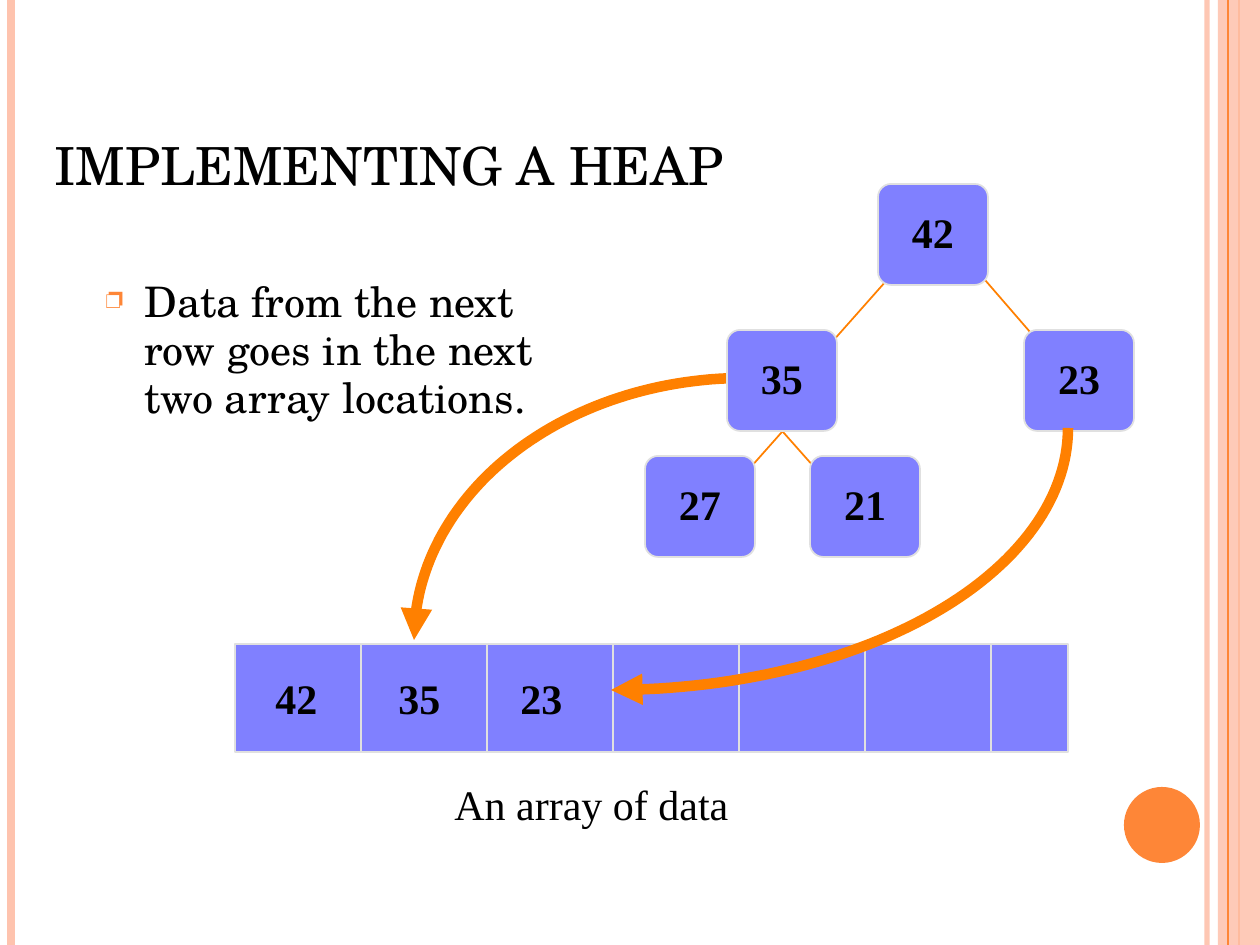
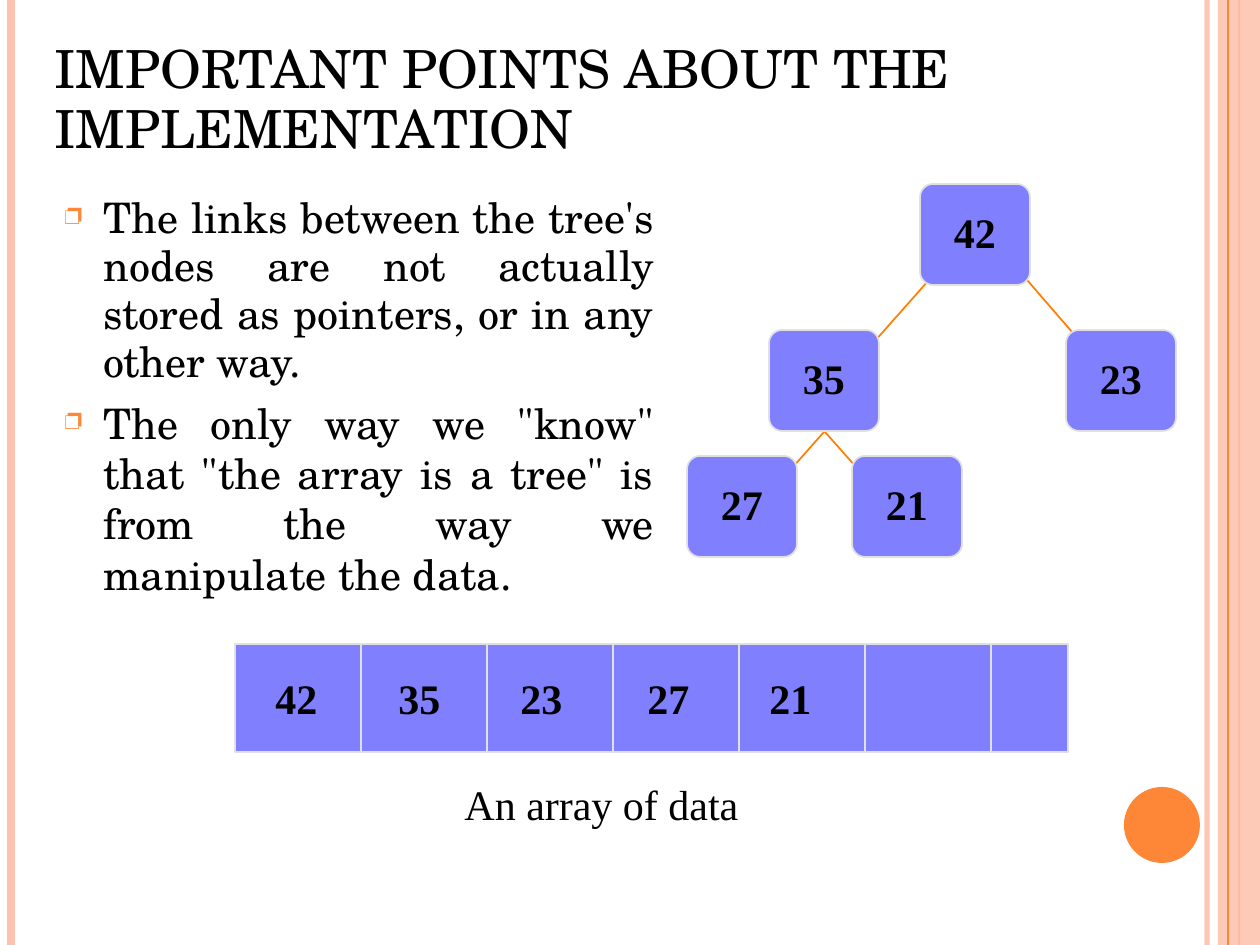
"""Builds two slides on storing a heap in an array."""
from math import cos, radians, sin

from lxml import etree
from pptx import Presentation
from pptx.dml.color import RGBColor
from pptx.enum.shapes import MSO_CONNECTOR, MSO_SHAPE
from pptx.enum.text import MSO_ANCHOR, PP_ALIGN
from pptx.oxml.ns import qn
from pptx.util import Pt

RECT, ROUND, OVAL = MSO_SHAPE.RECTANGLE, MSO_SHAPE.ROUNDED_RECTANGLE, MSO_SHAPE.OVAL
STRAIGHT = MSO_CONNECTOR.STRAIGHT
LEFT, CENTER, JUSTIFY = PP_ALIGN.LEFT, PP_ALIGN.CENTER, PP_ALIGN.JUSTIFY
TOP, MIDDLE, BOTTOM = MSO_ANCHOR.TOP, MSO_ANCHOR.MIDDLE, MSO_ANCHOR.BOTTOM

BLACK = RGBColor(0x00, 0x00, 0x00)
PEACH = RGBColor(0xFE, 0xC3, 0xAE)
ACCENT = RGBColor(0xFE, 0x86, 0x37)
ORANGE = RGBColor(0xFF, 0x80, 0x00)
VIOLET = RGBColor(0x80, 0x80, 0xFF)
SILVER = RGBColor(0xE0, 0xE0, 0xE0)

SERIF, ROMAN = "TeX Gyre Schola", "Times New Roman"
SCALE = 914400 / 126
WIDTH, HEIGHT = 1260, 945

NODE_W, NODE_H = 110, 101
NODES = {"42": (878, 184), "35": (727, 330), "23": (1024, 330),
         "27": (645, 456), "21": (810, 456)}
EDGES = [(887, 280, 809, 368), (979, 273, 1056, 362),
         (805, 406, 727, 494), (760, 406, 838, 494)]
ARRAY_X, ARRAY_Y, ARRAY_W, ARRAY_H, CELL_W = 235, 644, 833, 108, 126
VALUE_LEFTS = [263, 386, 508, 635, 757]


def px(n):
    """Turn px into EMU."""
    return round(n * SCALE)


def sub(parent, tag, **attrs):
    """Append a DrawingML element."""
    return etree.SubElement(parent, qn(tag), attrs)


def set_alpha(fill_parent, percent):
    """Make the first colour under an element translucent."""
    color = next(fill_parent.iter(qn("a:srgbClr")))
    sub(color, "a:alpha", val=str(percent * 1000))


def add_bullet(p):
    """Give a paragraph the hanging box bullet."""
    pPr = p._p.get_or_add_pPr()
    pPr.set("marL", str(px(38)))
    pPr.set("indent", str(px(-38)))
    sub(sub(pPr, "a:buClr"), "a:srgbClr", val=str(ACCENT))
    sub(pPr, "a:buSzPct", val="70000")
    sub(pPr, "a:buChar", char="❐")


def add_paragraph(tf, text, first=True, font=ROMAN, size=24, bold=False,
                  align=LEFT, spacing=0.95, before=0, bullet=False):
    """Write one formatted paragraph into a text frame."""
    p = tf.paragraphs[0] if first else tf.add_paragraph()
    if bullet:
        add_bullet(p)
    p.alignment = align
    p.line_spacing = spacing
    if before:
        p.space_before = Pt(before)
    r = p.add_run()
    r.text = text
    r.font.name, r.font.size, r.font.bold = font, Pt(size), bold
    r.font.color.rgb = BLACK


def add_box(s, x, y, w, h, wrap=True, anchor=TOP):
    """Add a text box and return its text frame."""
    tf = s.shapes.add_textbox(px(x), px(y), px(w), px(h)).text_frame
    tf.word_wrap = wrap
    tf.vertical_anchor = anchor
    return tf


def add_block(s, kind, x, y, w, h, fill, line=None):
    """Add a filled preset shape."""
    sp = s.shapes.add_shape(kind, px(x), px(y), px(w), px(h))
    sp.shadow.inherit = False
    sp.fill.solid()
    sp.fill.fore_color.rgb = fill
    if line is None:
        sp.line.fill.background()
    else:
        sp.line.color.rgb = line
        sp.line.width = Pt(1)
    return sp


def add_line(s, x1, y1, x2, y2, color, width=1):
    """Add a straight line."""
    c = s.shapes.add_connector(STRAIGHT, px(x1), px(y1), px(x2), px(y2))
    c.line.color.rgb = color
    c.line.width = Pt(width)
    sub(c._element.spPr, "a:effectLst")
    return c


def add_arc_arrow(s, cx, cy, rx, ry, start, end, steps=60):
    """Add a thick elliptical arc with an arrowhead at its end."""
    angles = [radians(start + (end - start) * i / steps) for i in range(steps + 1)]
    points = [(px(cx + rx * cos(a)), px(cy + ry * sin(a))) for a in angles]
    builder = s.shapes.build_freeform(*points[0], scale=1.0)
    builder.add_line_segments(points[1:], close=False)
    sp = builder.convert_to_shape()
    sp.shadow.inherit = False
    sp.fill.background()
    sp.line.color.rgb = ORANGE
    sp.line.width = Pt(6)
    sub(sp.line._get_or_add_ln(), "a:tailEnd", type="triangle")


def add_frame(s):
    """Draw the side bands and the disc."""
    inner = add_line(s, 1207, 0, 1207, HEIGHT, PEACH, 3)
    set_alpha(inner._element.spPr, 93)
    add_line(s, 11, 0, 11, HEIGHT, PEACH, 4.5)
    add_line(s, 1239, 0, 1239, HEIGHT, ACCENT, 1.5)
    band = add_block(s, RECT, 1218, 0, 42, HEIGHT, PEACH)
    set_alpha(band._element.spPr, 87)
    add_line(s, 1228, 0, 1228, HEIGHT, ACCENT, 0.75)
    add_block(s, OVAL, 1124, 787, 76, 76, ACCENT)


def add_title(s, text, y, h):
    """Add the slide title, resting on the bottom of its box."""
    add_paragraph(add_box(s, 42, y, 1071, h, anchor=BOTTOM), text, font=SERIF, size=30)


def add_points(s, x, y, w, h, texts, align=LEFT):
    """Add the bulleted points."""
    tf = add_box(s, x, y, w, h)
    for i, text in enumerate(texts):
        add_paragraph(tf, text, first=i == 0, font=SERIF, align=align, bullet=True,
                      spacing=1.0 if i else 0.95, before=6 if i else 0)


def add_tree(s, dx=0):
    """Draw the heap as a tree, moved right by dx."""
    for x1, y1, x2, y2 in EDGES:
        add_line(s, x1 + dx, y1, x2 + dx, y2, ORANGE)
    for value, (x, y) in NODES.items():
        sp = add_block(s, ROUND, x + dx, y, NODE_W, NODE_H, VIOLET, SILVER)
        sp.adjustments[0] = 0.13
        sp.text_frame.vertical_anchor = MIDDLE
        add_paragraph(sp.text_frame, value, bold=True, align=CENTER)


def add_array(s, caption_x):
    """Draw the empty array with its caption."""
    add_block(s, RECT, ARRAY_X, ARRAY_Y, ARRAY_W, ARRAY_H, VIOLET, SILVER)
    for x in range(ARRAY_X + CELL_W, ARRAY_X + ARRAY_W, CELL_W):
        add_line(s, x, ARRAY_Y, x, ARRAY_Y + ARRAY_H, SILVER)
    caption = add_box(s, caption_x, 777, 299, 59, wrap=False)
    add_paragraph(caption, "An array of data", spacing=0.93)


def add_values(s, values):
    """Write values into the array cells."""
    for x, value in zip(VALUE_LEFTS, values):
        add_paragraph(add_box(s, x, 670, 67, 60, wrap=False), value, bold=True)


def add_slide(prs):
    """Add a blank slide with the shared frame."""
    s = prs.slides.add_slide(prs.slide_layouts[6])
    add_frame(s)
    return s


def build_filling(prs):
    """Build the slide that copies the second row into the array."""
    s = add_slide(prs)
    add_arc_arrow(s, 745, 640, 331, 262, 270, 180)
    add_title(s, "IMPLEMENTING A HEAP", 47, 157)
    add_points(s, 94, 273, 469, 567,
               ["Data from the next row goes in the next two array locations."])
    add_array(s, 442)
    add_tree(s)
    add_arc_arrow(s, 611, 428, 457, 262, 0, 90)
    add_values(s, ["42", "35", "23"])


def build_points(prs):
    """Build the slide of points about the implementation."""
    s = add_slide(prs)
    add_title(s, "IMPORTANT POINTS ABOUT THE IMPLEMENTATION", 33, 134)
    add_points(s, 53, 189, 613, 567, [
        "The links between the tree's nodes are not actually stored as pointers, "
        "or in any other way.",
        'The only way we "know" that "the array is a tree" is from the way we '
        "manipulate the data.",
    ], align=JUSTIFY)
    add_array(s, 452)
    add_tree(s, dx=42)
    add_values(s, ["42", "35", "23", "27", "21"])


def main():
    """Build and save the presentation."""
    prs = Presentation()
    prs.slide_width, prs.slide_height = px(WIDTH), px(HEIGHT)
    build_filling(prs)
    build_points(prs)
    prs.save("out.pptx")


if __name__ == "__main__":
    main()
